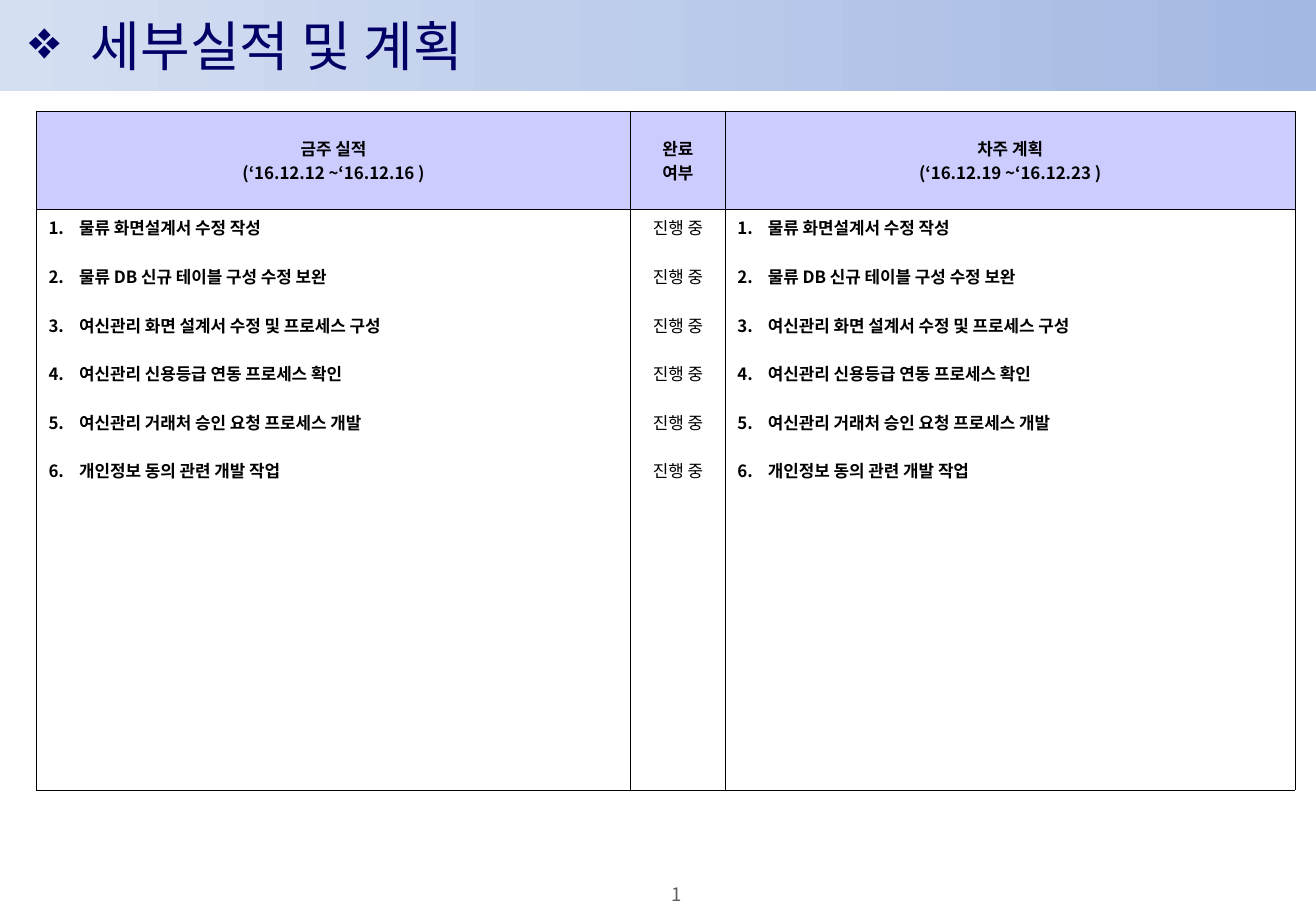
from dataclasses import dataclass

from lxml import etree
from pptx import Presentation
from pptx.dml.color import RGBColor
from pptx.enum.shapes import MSO_SHAPE
from pptx.enum.text import MSO_ANCHOR, PP_ALIGN
from pptx.oxml.ns import qn
from pptx.util import Cm, Pt

RECTANGLE = MSO_SHAPE.RECTANGLE
MIDDLE, TOP = MSO_ANCHOR.MIDDLE, MSO_ANCHOR.TOP
CENTER, LEFT = PP_ALIGN.CENTER, PP_ALIGN.LEFT


@dataclass(frozen=True)
class Theme:
    font: str = "Noto Sans CJK KR"
    title_color: str = "000066"
    text_color: str = "000000"
    page_color: str = "5F5F5F"
    band_colors: tuple = ("D5DFF2", "A3B8E3")
    header_fill: str = "CCCCFF"
    title_size: float = 32
    table_size: float = 10
    page_size: float = 11
    border_width: float = 0.5
    item_gap: float = 14.4


THEME = Theme()
TASKS = (
    "물류 화면설계서 수정 작성",
    "물류 DB 신규 테이블 구성 수정 보완",
    "여신관리 화면 설계서 수정 및 프로세스 구성",
    "여신관리 신용등급 연동 프로세스 확인",
    "여신관리 거래처 승인 요청 프로세스 개발",
    "개인정보 동의 관련 개발 작업",
)
HEADERS = (
    ("금주 실적", "(‘16.12.12 ~‘16.12.16 )"),
    ("완료", "여부"),
    ("차주 계획", "(‘16.12.19 ~‘16.12.23 )"),
)
COLUMN_WIDTHS = (12.42, 1.98, 11.91)
ROW_HEIGHTS = (2.06, 12.14)


def write_run(paragraph, text, size, color, bold=False):
    run = paragraph.add_run()
    run.text = text
    formats = {"name": THEME.font, "size": Pt(size), "bold": bold}
    for name, value in formats.items():
        setattr(run.font, name, value)
    run.font.color.rgb = RGBColor.from_string(color)
    east_asian = etree.SubElement(run.font._element, qn("a:ea"))
    east_asian.set("typeface", THEME.font)


def add_bullet(paragraph, indent, tag, **attributes):
    properties = paragraph._p.get_or_add_pPr()
    properties.set("marL", str(Cm(indent)))
    properties.set("indent", str(-Cm(indent)))
    bullet = etree.SubElement(properties, qn(tag))
    for name, value in attributes.items():
        bullet.set(name, value)


def add_text_box(slide, box, **formats):
    frame = slide.shapes.add_textbox(*map(Cm, box)).text_frame
    for name, value in formats.items():
        setattr(frame, name, value)
    return frame.paragraphs[0]


def draw_title_band(slide, box):
    left, top, width, height = box
    band = slide.shapes.add_shape(RECTANGLE, *map(Cm, box))
    band.shadow.inherit = False
    band.line.fill.background()
    band.fill.gradient()
    band.fill.gradient_angle = 0
    for stop, color in zip(band.fill.gradient_stops, THEME.band_colors):
        stop.color.rgb = RGBColor.from_string(color)
    paragraph = add_text_box(
        slide, (left + 0.36, top, width - 9.53, height),
        word_wrap=True, vertical_anchor=MIDDLE)
    add_bullet(paragraph, 1.29, "a:buChar", char="❖")
    write_run(paragraph, "세부실적 및 계획", THEME.title_size, THEME.title_color)


def add_borders(cell):
    properties = cell._tc.get_or_add_tcPr()
    for index, side in enumerate(("a:lnL", "a:lnR", "a:lnT", "a:lnB")):
        line = etree.Element(qn(side), w=str(Pt(THEME.border_width)))
        fill = etree.SubElement(line, qn("a:solidFill"))
        etree.SubElement(fill, qn("a:srgbClr"), val=THEME.text_color)
        properties.insert(index, line)


def fill_cell(cell, lines, anchor, alignment, bold, gap=0, numbered=False):
    cell.vertical_anchor = anchor
    frame = cell.text_frame
    for index, text in enumerate(lines):
        paragraph = frame.add_paragraph() if index else frame.paragraphs[0]
        paragraph.alignment = alignment
        if index and gap:
            paragraph.space_before = Pt(gap)
        if numbered:
            add_bullet(paragraph, 0.64, "a:buAutoNum", type="arabicPeriod")
        write_run(paragraph, text, THEME.table_size, THEME.text_color, bold)
    add_borders(cell)


def draw_plan_table(slide, left, top):
    box = (left, top, sum(COLUMN_WIDTHS), sum(ROW_HEIGHTS))
    table = slide.shapes.add_table(2, 3, *map(Cm, box)).table
    table.first_row = table.horz_banding = False
    for column, width in zip(table.columns, COLUMN_WIDTHS):
        column.width = Cm(width)
    for row, height in zip(table.rows, ROW_HEIGHTS):
        row.height = Cm(height)
    for index, lines in enumerate(HEADERS):
        header, body = table.cell(0, index), table.cell(1, index)
        header.fill.solid()
        header.fill.fore_color.rgb = RGBColor.from_string(THEME.header_fill)
        body.fill.background()
        fill_cell(header, lines, MIDDLE, CENTER, True)
        if index == 1:
            statuses = ("진행 중",) * len(TASKS)
            fill_cell(body, statuses, TOP, CENTER, False, THEME.item_gap)
        else:
            fill_cell(body, TASKS, TOP, LEFT, True, THEME.item_gap, True)


def draw_page_number(slide, box):
    paragraph = add_text_box(
        slide, box, word_wrap=True, vertical_anchor=MIDDLE,
        margin_left=0, margin_right=0, margin_top=0, margin_bottom=0)
    paragraph.alignment = CENTER
    write_run(paragraph, "1", THEME.page_size, THEME.page_color)


def main():
    presentation = Presentation()
    presentation.slide_width, presentation.slide_height = Cm(27.51), Cm(19.05)
    slide = presentation.slides.add_slide(presentation.slide_layouts[6])
    draw_title_band(slide, (0, 0, 27.51, 1.9))
    draw_plan_table(slide, 0.76, 2.32)
    draw_page_number(slide, (12.95, 18.47, 2.39, 0.46))
    presentation.save("out.pptx")


if __name__ == "__main__":
    main()
